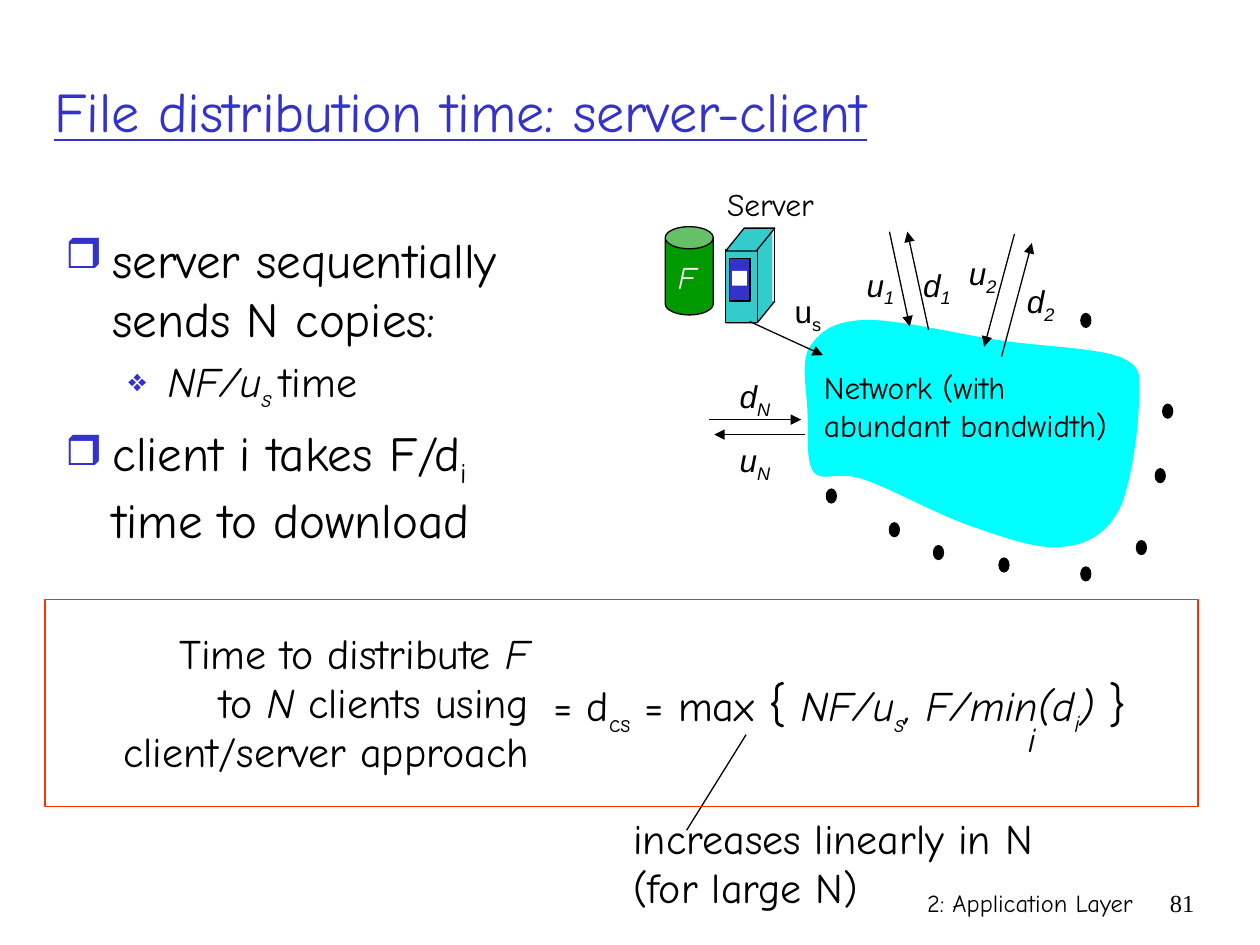
"""Builds the slide on file distribution time in the server-client approach."""
from lxml import etree
from pptx import Presentation
from pptx.dml.color import RGBColor
from pptx.enum import shapes, text
from pptx.oxml import ns
from pptx.util import Cm, Pt

BLACK = RGBColor(0, 0, 0)
WHITE = RGBColor(255, 255, 255)
BLUE = RGBColor(0x33, 0x33, 0xCC)
TEAL = RGBColor(0x33, 0xCC, 0xCC)
CYAN = RGBColor(0, 255, 255)
GREEN = RGBColor(0, 0x99, 0)
RED = RGBColor(0xFF, 0x33, 0)
COMIC, ARIAL, TIMES = "Comic Neue", "Arial", "Times New Roman"
LEFT, CENTER, RIGHT = text.PP_ALIGN.LEFT, text.PP_ALIGN.CENTER, text.PP_ALIGN.RIGHT
KIND = shapes.MSO_SHAPE

presentation = Presentation()
presentation.slide_width, presentation.slide_height = Cm(25.4), Cm(19.05)
slide = presentation.slides.add_slide(presentation.slide_layouts[6])


def add_text(place, paragraphs, size, font=COMIC, color=BLACK, align=LEFT,
             wrap=True, hanging=False, line_spacing=None):
    """Adds a text box; styles are i (italic), s (subscript), u (underline)."""
    frame = slide.shapes.add_textbox(*map(Cm, place)).text_frame
    frame.word_wrap = wrap
    for index, runs in enumerate(paragraphs):
        paragraph = frame.paragraphs[0] if index == 0 else frame.add_paragraph()
        paragraph.alignment = align
        if line_spacing:
            paragraph.line_spacing = line_spacing
        if hanging:
            properties = paragraph._p.get_or_add_pPr()
            properties.set("marL", str(Cm(0.95)))
            properties.set("indent", str(-Cm(0.95)))
            if index:
                paragraph.space_before = Pt(size / 5)
        for wording, style, *own_size in runs:
            run = paragraph.add_run()
            run.text = wording
            run.font.name = font
            run.font.size = Pt(own_size[0] if own_size else size)
            run.font.color.rgb = color
            run.font.italic = "i" in style
            run.font.underline = "u" in style
            if "s" in style:
                run._r.get_or_add_rPr().set("baseline", "-25000")
    return frame


def add_shape(kind, place, fill=None, line=None, adjustment=None):
    """Adds a preset shape without a shadow."""
    shape = slide.shapes.add_shape(kind, *map(Cm, place))
    shape.shadow.inherit = False
    if adjustment:
        shape.adjustments[0] = adjustment
    if fill is None:
        shape.fill.background()
    else:
        shape.fill.solid()
        shape.fill.fore_color.rgb = fill
    if line is None:
        shape.line.fill.background()
    else:
        shape.line.color.rgb = line
        shape.line.width = Pt(0.75)


add_text((15.04, 17.78, 8.05, 1.27), [[("2: Application Layer", "")]], 14, align=RIGHT)
add_text((23.06, 17.78, 1.27, 1.27), [[("81", "")]], 14, TIMES, align=RIGHT)
title = add_text((0.84, 0.64, 23.67, 3.18),
                 [[("File distribution time: server-client", "u")]], 32, color=BLUE)
title.vertical_anchor = text.MSO_ANCHOR.MIDDLE

cloud_start = (17.42, 6.45)
cloud_curves = [
    ((16.76, 6.48), (16.51, 6.71), (16.31, 7.01)),
    ((16.13, 7.34), (16.28, 7.95), (16.28, 8.38)),
    ((16.31, 8.79), (16.23, 9.3), (16.41, 9.53)),
    ((16.61, 9.73), (16.92, 9.47), (17.45, 9.68)),
    ((17.98, 9.86), (18.92, 10.39), (19.61, 10.62)),
    ((20.27, 10.85), (20.98, 11.1), (21.46, 11.02)),
    ((21.97, 10.97), (22.33, 10.72), (22.58, 10.24)),
    ((22.81, 9.73), (22.96, 8.59), (22.96, 8.08)),
    ((22.96, 7.59), (23.06, 7.42), (22.61, 7.21)),
    ((22.12, 7.01), (21.01, 6.99), (20.14, 6.86)),
    ((19.3, 6.73), (18.06, 6.43), cloud_start),
]
outline, start = [], cloud_start
for first, second, end in cloud_curves:
    for step in range(1, 13):
        t = step / 12
        outline.append(tuple(
            Cm((1 - t) ** 3 * a + 3 * t * (1 - t) ** 2 * b + 3 * t * t * (1 - t) * c + t ** 3 * d)
            for a, b, c, d in zip(start, first, second, end)))
    start = end
builder = slide.shapes.build_freeform(Cm(cloud_start[0]), Cm(cloud_start[1]))
builder.add_line_segments(outline, close=True)
cloud = builder.convert_to_shape()
cloud.shadow.inherit = False
cloud.fill.solid()
cloud.fill.fore_color.rgb = CYAN
cloud.line.fill.background()

add_shape(KIND.PARALLELOGRAM, (14.63, 6.07, 0.99, 0.46), TEAL, adjustment=0.81)
add_shape(KIND.RECTANGLE, (15.11, 4.6, 0.46, 1.47), TEAL)
add_shape(KIND.RECTANGLE, (14.63, 5.03, 0.64, 1.47), TEAL, BLACK)
add_shape(KIND.PARALLELOGRAM, (14.63, 4.6, 0.99, 0.46), TEAL, BLACK, 0.81)
add_shape(KIND.RECTANGLE, (14.71, 5.21, 0.41, 0.86), BLUE, BLACK)
add_shape(KIND.RECTANGLE, (14.76, 5.46, 0.3, 0.3), WHITE)
add_shape(KIND.CAN, (13.41, 4.57, 0.97, 1.78), GREEN, BLACK, 0.46)

for x, y in [(16.66, 9.86), (17.93, 10.54), (18.82, 11), (20.14, 11.25), (21.79, 11.43),
             (22.91, 10.9), (23.29, 9.45), (23.44, 8.15), (21.79, 6.32)]:
    add_shape(KIND.OVAL, (x, y, 0.2, 0.28), BLACK, BLACK)

lines = [
    (15.62, 4.62, 15.62, 6.07, False),
    (15.62, 6.07, 15.27, 6.5, False),
    (13.84, 16.74, 15.04, 14.81, False),
    (15.11, 6.48, 16.59, 7.16, True),
    (17.93, 4.67, 18.34, 6.58, True),
    (18.72, 6.65, 18.29, 4.67, True),
    (20.45, 4.72, 19.84, 6.99, True),
    (20.19, 7.19, 20.8, 4.9, True),
    (14.3, 8.46, 16.15, 8.46, True),
    (16.23, 8.76, 14.4, 8.76, True),
]
for *ends, arrow in lines:
    connector = slide.shapes.add_connector(shapes.MSO_CONNECTOR.STRAIGHT, *map(Cm, ends))
    connector.line.color.rgb = BLACK
    connector.line.width = Pt(0.75)
    if arrow:
        etree.SubElement(connector.line._get_or_add_ln(), ns.qn("a:tailEnd"), type="triangle")
    etree.SubElement(connector._element.spPr, ns.qn("a:effectLst"))

add_text((15.77, 5.77, 1.07, 1.02), [[("u", ""), ("s", "s")]], 18, ARIAL, wrap=False)
for letter, index, x, y in [("u", "1", 17.22, 5.23), ("d", "1", 18.36, 5.23),
                            ("u", "2", 19.28, 5), ("d", "2", 20.45, 5.56),
                            ("u", "N", 14.66, 8.76), ("d", "N", 14.66, 7.47)]:
    add_text((x, y, 1.45, 1.02), [[(letter, "i"), (index, "is")]], 18, ARIAL)

add_text((14.12, 3.61, 2.82, 1.02), [[("Server", "")]], 18, align=CENTER)
add_text((13.28, 5.08, 1.14, 1.02), [[("F", "i")]], 18, color=WHITE, align=CENTER)
add_text((16.36, 7.29, 6.68, 1.78),
         [[("Network (with", "")], [("abundant bandwidth)", "")]], 18, wrap=False)

body = add_text((1.07, 4.5, 10.44, 12.9), [
    [("server sequentially sends N copies:", "")],
    [("NF/u", "i", 24), ("s ", "is", 24), ("time", "", 24)],
    [("client i takes F/d", ""), ("i ", "s"), ("time to download", "")],
], 28, hanging=True)
body.paragraphs[1].level = 1
body.paragraphs[1].space_before = Pt(4.8)
nested = body.paragraphs[1]._p.get_or_add_pPr()
nested.set("marL", str(Cm(2.06)))
nested.set("indent", str(-Cm(0.79)))
for paragraph, mark, percent in zip(body.paragraphs, "❒❖❒", (85, 75, 85)):
    properties = paragraph._p.get_or_add_pPr()
    bullet_color = etree.SubElement(properties, ns.qn("a:buClr"))
    etree.SubElement(bullet_color, ns.qn("a:srgbClr"), val=str(BLUE))
    etree.SubElement(properties, ns.qn("a:buSzPct"), val=str(percent * 1000))
    etree.SubElement(properties, ns.qn("a:buChar"), char=mark)

add_text((12.52, 16.46, 9.22, 2.08),
         [[("increases linearly in N", "")], [("(for large N)", "")]],
         24, wrap=False, hanging=True, line_spacing=0.8)
add_text((10.9, 13.44, 12.65, 1.45), [[
    ("= d", ""), ("cs", "s"), (" = max ", ""), ("{", "", 28), (" ", ""), ("NF/u", "i"),
    ("s", "is"), (", F/min(d", "i"), ("i", "is"), (") ", "i"), ("}", "", 28),
]], 24, wrap=False, hanging=True)
add_text((20.47, 14.33, 0.71, 1.09), [[("i", "i")]], 20, wrap=False, hanging=True)
add_text((1.42, 12.73, 9.78, 3.1), [
    [("Time to distribute ", ""), ("F ", "i")],
    [("to ", ""), ("N", "i"), (" clients using ", "")],
    [("client/server approach ", "")],
], 24, align=RIGHT, wrap=False, hanging=True, line_spacing=0.8)
add_shape(KIND.RECTANGLE, (0.91, 12.09, 23.24, 4.17), line=RED)

presentation.save("out.pptx")
